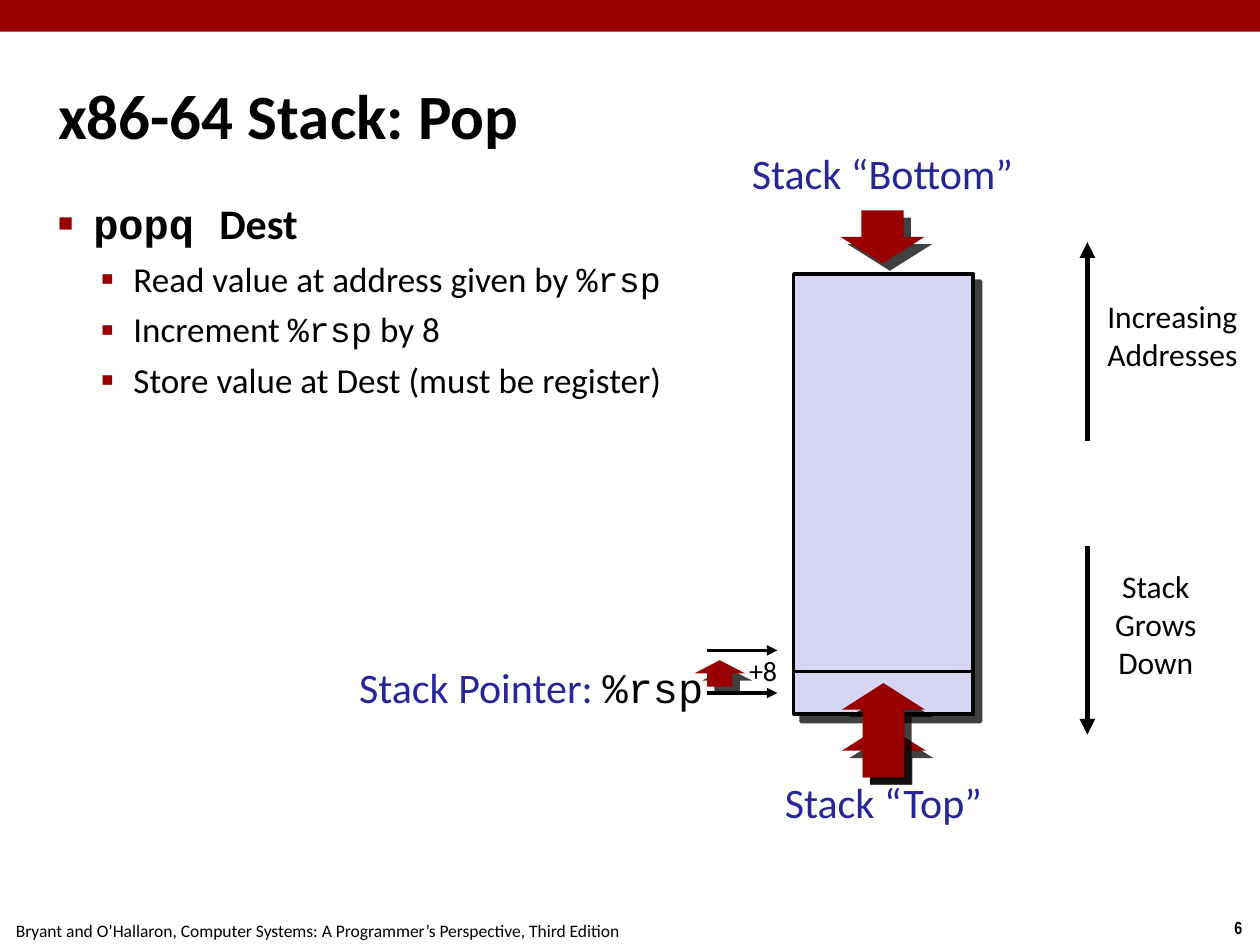
from lxml import etree
from pptx import Presentation
from pptx.dml.color import RGBColor
from pptx.enum.shapes import MSO_CONNECTOR, MSO_SHAPE
from pptx.enum.text import MSO_ANCHOR, MSO_AUTO_SIZE, PP_ALIGN
from pptx.oxml.ns import qn
from pptx.util import Cm, Pt

BLACK = RGBColor(0, 0, 0)
WHITE = RGBColor(255, 255, 255)
RED = RGBColor(0x99, 0, 0)
LILAC = RGBColor(0xD6, 0xD6, 0xF4)
BLUE = RGBColor(0x26, 0x26, 0x99)
SANS, MONO, NARROW = "Calibri", "Courier New", "Arial Narrow"
RECT, DOWN, UP = MSO_SHAPE.RECTANGLE, MSO_SHAPE.DOWN_ARROW, MSO_SHAPE.UP_ARROW
LEFT, MID, RIGHT = PP_ALIGN.LEFT, PP_ALIGN.CENTER, PP_ALIGN.RIGHT
TOP, MIDDLE = MSO_ANCHOR.TOP, MSO_ANCHOR.MIDDLE
STRAIGHT, FIXED = MSO_CONNECTOR.STRAIGHT, MSO_AUTO_SIZE.NONE

TITLE = "x86-64 Stack: Pop"
BODY = [  # level, runs of (text, font)
    (0, [("popq ", MONO), ("Dest", SANS)]),
    (1, [("Read value at address given by ", SANS), ("%rsp", MONO)]),
    (1, [("Increment ", SANS), ("%rsp", MONO), (" by 8", SANS)]),
    (1, [("Store value at Dest (must be register)", SANS)]),
]
LEVELS = [  # format of each body level
    dict(size=24, bold=True, margin=0.71, hang=0.71, before=6, mark="■", scale=60),
    dict(size=20, bold=False, margin=1.52, hang=0.66, before=5, mark="▪", scale=110),
]
SHAPES = [  # kind, box in cm, fill, line width, shadow, head share
    (RECT, (0, 0, 25.42, 0.64), RED, 0, False, None),
    (UP, (16.97, 14.6, 1.7, 1.07), RED, 0, True, 0.5),
    (RECT, (16, 5.52, 3.62, 8.88), LILAC, 2, True, None),
    (DOWN, (16.94, 4.24, 1.7, 1.07), RED, 0, True, 0.5),
    (RECT, (16, 13.54, 3.62, 0.86), LILAC, 2, False, None),
    (UP, (16.97, 13.77, 1.68, 1.9), RED, 0, True, 0.32),
    (UP, (14, 13.31, 1.02, 0.53), RED, 0, True, 0.5),
]
LINES = [  # from x, y to x, y in cm, width
    (14.25, 13.97, 15.67, 13.97, 2),
    (14.25, 13.11, 15.67, 13.11, 2),
    (21.92, 11, 21.92, 14.81, 3),
    (21.92, 8.89, 21.92, 4.88, 3),
]
LABELS = [  # box in cm, paragraphs of (text, font, colour), format
    ((24.53, 18.36, 0.87, 0.68), [[("6", NARROW, BLACK)]],
     dict(size=10, bold=True, inset=0.13)),
    ((-0.05, 18.41, 12.9, 0.68),
     [[("Bryant and O’Hallaron, Computer Systems: "
        "A Programmer’s Perspective, Third Edition", SANS, BLACK)]],
     dict(size=10, inset=0.13)),
    ((7.11, 13.33, 7.07, 1.02),
     [[("Stack Pointer: ", SANS, BLUE), ("%rsp", MONO, BLACK)]],
     dict(size=24, align=RIGHT)),
    ((22.17, 11.43, 2.26, 2.54),
     [[("Stack Grows", SANS, BLACK)], [("Down", SANS, BLACK)]],
     dict(size=18, wrap=True, fill=WHITE)),
    ((22.2, 5.99, 2.87, 1.75),
     [[("Increasing", SANS, BLACK)], [("Addresses", SANS, BLACK)]],
     dict(size=18, fill=WHITE)),
    ((15.65, 15.65, 4.32, 1.24), [[("Stack “Top”", SANS, BLUE)]], dict(size=24)),
    ((14.96, 2.97, 5.66, 1.24), [[("Stack “Bottom”", SANS, BLUE)]], dict(size=24)),
    ((14.99, 13.08, 0.79, 0.89), [[("+8", SANS, BLACK)]],
     dict(size=16, inset=0.1)),
]


def cms(box):
    return [Cm(v) for v in box]


def add(node, tag, **attrs):
    return etree.SubElement(node, qn(tag), attrs)


def frame(shape, inset, wrap, anchor=TOP):
    text = shape.text_frame
    form = dict(auto_size=FIXED, word_wrap=wrap, vertical_anchor=anchor)
    for side in ("left", "right", "top", "bottom"):
        form["margin_" + side] = Cm(inset)
    for name, value in form.items():
        setattr(text, name, value)
    return text


def write(para, runs, size, bold=False):
    for words, face, color in runs:
        run = para.add_run()
        run.text = words
        form = dict(name=face, size=Pt(size), bold=bold)
        for name, value in form.items():
            setattr(run.font, name, value)
        run.font.color.rgb = color


def indent(para, margin, hang):
    props = para._p.get_or_add_pPr()
    props.set("marL", str(Cm(margin)))
    props.set("indent", str(-Cm(hang)))
    return props


def place(holder, box):
    for name, value in zip(("left", "top", "width", "height"), cms(box)):
        setattr(holder, name, value)


def fill_title(slide):
    holder = slide.shapes.title
    place(holder, (1.07, 0.71, 23.29, 3.18))
    para = frame(holder, 0.1, True, MIDDLE).paragraphs[0]
    indent(para, 0.33, 0.33)
    para.alignment = LEFT
    write(para, [(TITLE, SANS, BLACK)], 36, True)


def fill_body(slide):
    holder = slide.placeholders[1]
    place(holder, (1.07, 3.89, 23.29, 15.09))
    text = frame(holder, 0.1, True)
    for i, (level, runs) in enumerate(BODY):
        para = text.add_paragraph() if i else text.paragraphs[0]
        form = LEVELS[level]
        para.level = level
        props = indent(para, form["margin"], form["hang"])
        add(add(props, "a:buClr"), "a:srgbClr", val=str(RED))
        add(props, "a:buSzPct", val=str(form["scale"] * 1000))
        add(props, "a:buChar", char=form["mark"])
        para.space_before = Pt(form["before"] if i else 0)
        write(para, [(*run, BLACK) for run in runs], form["size"], form["bold"])


def draw_shape(slide, kind, box, fill, width, shade, head):
    shape = slide.shapes.add_shape(kind, *cms(box))
    shape.fill.solid()
    shape.fill.fore_color.rgb = fill
    if width:
        shape.line.color.rgb = BLACK
        shape.line.width = Pt(width)
    else:
        shape.line.fill.background()
    if head:
        shape.adjustments[1] = head
    shape.shadow.inherit = False
    if shade:
        effects = shape._element.spPr.find(qn("a:effectLst"))
        cast = add(effects, "a:outerShdw", dist=str(Pt(6)), dir="2700000",
                   algn="ctr", rotWithShape="0")
        add(add(cast, "a:srgbClr", val=str(BLACK)), "a:alpha", val="75000")


def draw_line(slide, *ends, width):
    line = slide.shapes.add_connector(STRAIGHT, *cms(ends))
    line.line.color.rgb = BLACK
    line.line.width = Pt(width)
    add(line.line._get_or_add_ln(), "a:tailEnd", type="triangle")
    add(line._element.spPr, "a:effectLst")


def draw_label(slide, box, paras, size, bold=False, inset=0, wrap=False,
               align=MID, fill=None):
    label = slide.shapes.add_textbox(*cms(box))
    if fill is not None:
        label.fill.solid()
        label.fill.fore_color.rgb = fill
    text = frame(label, inset, wrap)
    for i, runs in enumerate(paras):
        para = text.add_paragraph() if i else text.paragraphs[0]
        para.alignment = align
        write(para, runs, size, bold)


def main():
    deck = Presentation()
    deck.slide_width, deck.slide_height = Cm(25.4), Cm(19.05)
    slide = deck.slides.add_slide(deck.slide_layouts[1])
    fill_title(slide)
    fill_body(slide)
    for item in SHAPES:
        draw_shape(slide, *item)
    for *ends, width in LINES:
        draw_line(slide, *ends, width=width)
    for box, paras, form in LABELS:
        draw_label(slide, box, paras, **form)
    deck.save("out.pptx")


if __name__ == "__main__":
    main()
